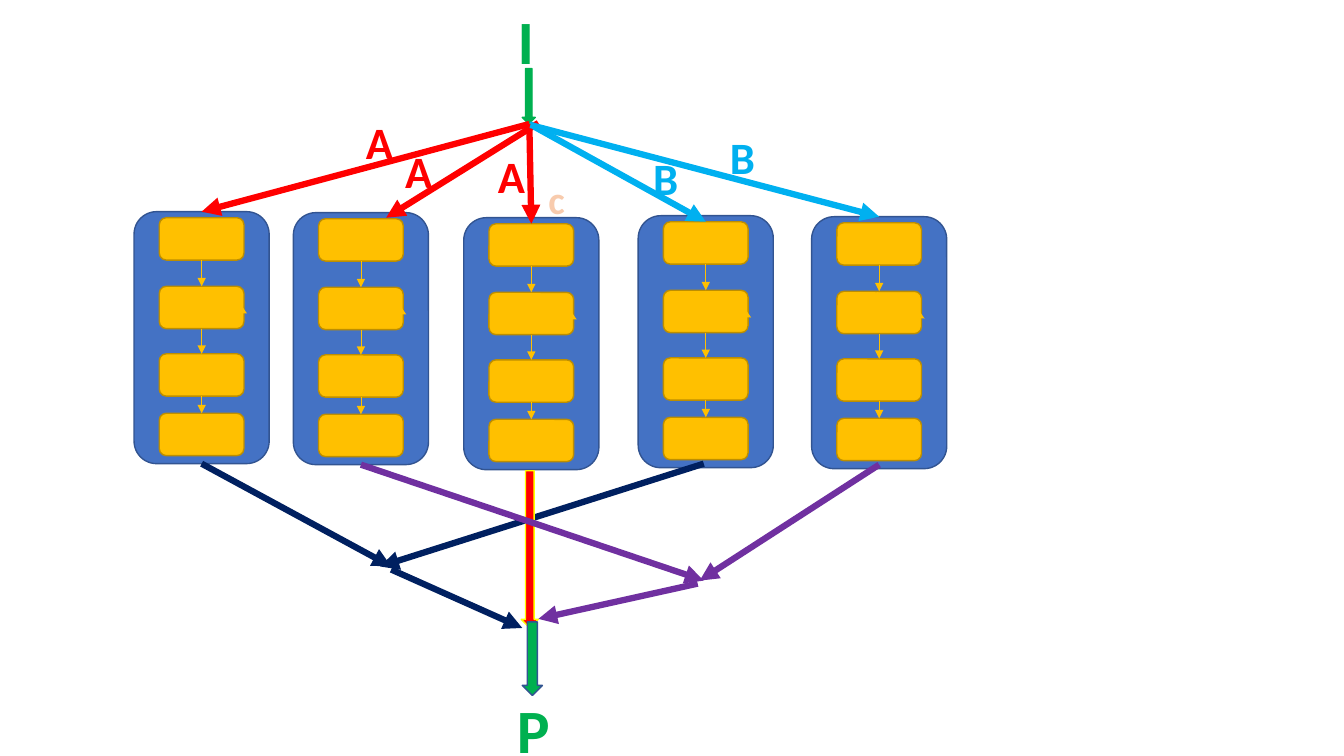
"""Build a slide of five parallel pipelines that fan out from I and merge into P."""
import pptx
import pptx.dml.color
import pptx.enum.shapes
import pptx.enum.text
import pptx.oxml
import pptx.oxml.ns
import pptx.util

PX = 9144
SLIDE_SIZE = (1333, 750)
FONT = "Calibri"
COLORS = {
    "green": "00B050", "red": "FF0000", "cyan": "00B0F0", "navy": "002060",
    "purple": "7030A0", "yellow": "FFFF00", "gold": "FFC000", "gold edge": "BD8E00",
    "blue": "4472C4", "blue edge": "325491", "peach": "F8CBAD", "orange": "ED7D31",
}

PIPELINES = [(291, 211), (633, 214), (460, 216), (133, 210), (805, 215)]
PIPELINE_SIZE = (134, 250)
STAGE_SIZE = (84, 42)
STAGE_LEFT = 25
STAGE_TOPS = [6, 74, 141, 200]
SIDE_ARROW = ((65, 75), (112, 101))

CROSSING_FLOWS = [
    ((200, 460), (388, 562), "navy"),
    ((698, 460), (377, 562), "navy"),
]
ENTRY_ARROW = ((518, 68), (13, 55), "green", "green")
CENTRE_ARROW = ((517, 467), (17, 156), "red", "yellow")
EXIT_ARROW = ((518, 617), (20, 73), "green", "blue edge")
FLOWS = [
    ((534, 122), (383, 216), "red"),
    ((525, 123), (700, 220), "cyan"),
    ((525, 123), (200, 210), "red"),
    ((525, 123), (527, 222), "red"),
    ((526, 124), (872, 215), "cyan"),
    ((358, 461), (698, 576), "purple"),
    ((872, 461), (694, 576), "purple"),
    ((388, 565), (518, 623), "navy"),
    ((692, 579), (534, 614), "purple"),
]
LABELS = [
    ("I", (502, -2), (39, 84), dict(size=44, color="green", wrap=False)),
    ("P", (480, 682), (98, 84), dict(size=44, color="green")),
    ("A", (353, 109), (45, 64), dict(color="red")),
    ("A", (392, 138), (45, 64), dict(color="red")),
    ("A", (484, 143), (45, 64), dict(color="red")),
    ("B", (638, 145), (43, 64), dict(color="cyan")),
    ("B", (714, 124), (43, 64), dict(color="cyan")),
    ("c", (534, 169), (34, 55), dict(size=28, color="peach", outline="orange", wrap=False)),
]


def emu(*lengths):
    return [pptx.util.Emu(length * PX) for length in lengths]


def rgb(color):
    return pptx.dml.color.RGBColor.from_string(COLORS[color])


def add_block(shapes, kind, corner, size, fill, edge):
    block = shapes.add_shape(kind, *emu(*corner, *size))
    block.shadow.inherit = False
    block.fill.solid()
    block.fill.fore_color.rgb = rgb(fill)
    block.line.color.rgb = rgb(edge)
    block.line.width = pptx.util.Pt(1)


def add_arrow(shapes, start, end, color, width=4.5):
    arrow = shapes.add_connector(pptx.enum.shapes.MSO_CONNECTOR.STRAIGHT, *emu(*start, *end))
    arrow.line.color.rgb = rgb(color)
    arrow.line.width = pptx.util.Pt(width)
    head = pptx.oxml.parse_xml(f'<a:tailEnd {pptx.oxml.ns.nsdecls("a")} type="triangle"/>')
    arrow.line._get_or_add_ln().append(head)
    arrow._element.spPr.append(pptx.oxml.parse_xml(f'<a:effectLst {pptx.oxml.ns.nsdecls("a")}/>'))


def add_text(shapes, text, corner, size_px, size=32, color="red", outline=None, wrap=True):
    label = shapes.add_textbox(*emu(*corner, *size_px))
    frame = label.text_frame
    frame.word_wrap = wrap
    frame.auto_size = pptx.enum.text.MSO_AUTO_SIZE.SHAPE_TO_FIT_TEXT
    paragraph = frame.paragraphs[0]
    paragraph.alignment = pptx.enum.text.PP_ALIGN.CENTER
    run = paragraph.add_run()
    run.text = text
    run.font.name = FONT
    run.font.size = pptx.util.Pt(size)
    run.font.bold = True
    run.font.color.rgb = rgb(color)
    if outline:
        run._r.get_or_add_rPr().insert(0, pptx.oxml.parse_xml(
            f'<a:ln {pptx.oxml.ns.nsdecls("a")} w="{pptx.util.Pt(1.75)}"><a:solidFill>'
            f'<a:srgbClr val="{COLORS[outline]}"/></a:solidFill></a:ln>'))


def add_pipeline(shapes, left, top):
    rounded = pptx.enum.shapes.MSO_SHAPE.ROUNDED_RECTANGLE
    pipeline = shapes.add_group_shape().shapes
    add_block(pipeline, rounded, (left, top), PIPELINE_SIZE, "blue", "blue edge")
    for stage_top in STAGE_TOPS:
        add_block(pipeline, rounded, (left + STAGE_LEFT, top + stage_top), STAGE_SIZE,
                  "gold", "gold edge")
    middle = PIPELINE_SIZE[0] // 2
    steps = [((middle, upper + STAGE_SIZE[1]), (middle, lower))
             for upper, lower in zip(STAGE_TOPS, STAGE_TOPS[1:])]
    for (x1, y1), (x2, y2) in steps + [SIDE_ARROW]:
        add_arrow(pipeline, (left + x1, top + y1), (left + x2, top + y2), "gold", 0.5)


def main():
    deck = pptx.Presentation()
    deck.slide_width, deck.slide_height = emu(*SLIDE_SIZE)
    shapes = deck.slides.add_slide(deck.slide_layouts[6]).shapes
    down = pptx.enum.shapes.MSO_SHAPE.DOWN_ARROW
    for left, top in PIPELINES:
        add_pipeline(shapes, left, top)
    for flow in CROSSING_FLOWS:
        add_arrow(shapes, *flow)
    for block in (ENTRY_ARROW, CENTRE_ARROW):
        add_block(shapes, down, *block)
    for flow in FLOWS:
        add_arrow(shapes, *flow)
    add_block(shapes, down, *EXIT_ARROW)
    for text, corner, size_px, style in LABELS:
        add_text(shapes, text, corner, size_px, **style)
    deck.save("out.pptx")


if __name__ == "__main__":
    main()
